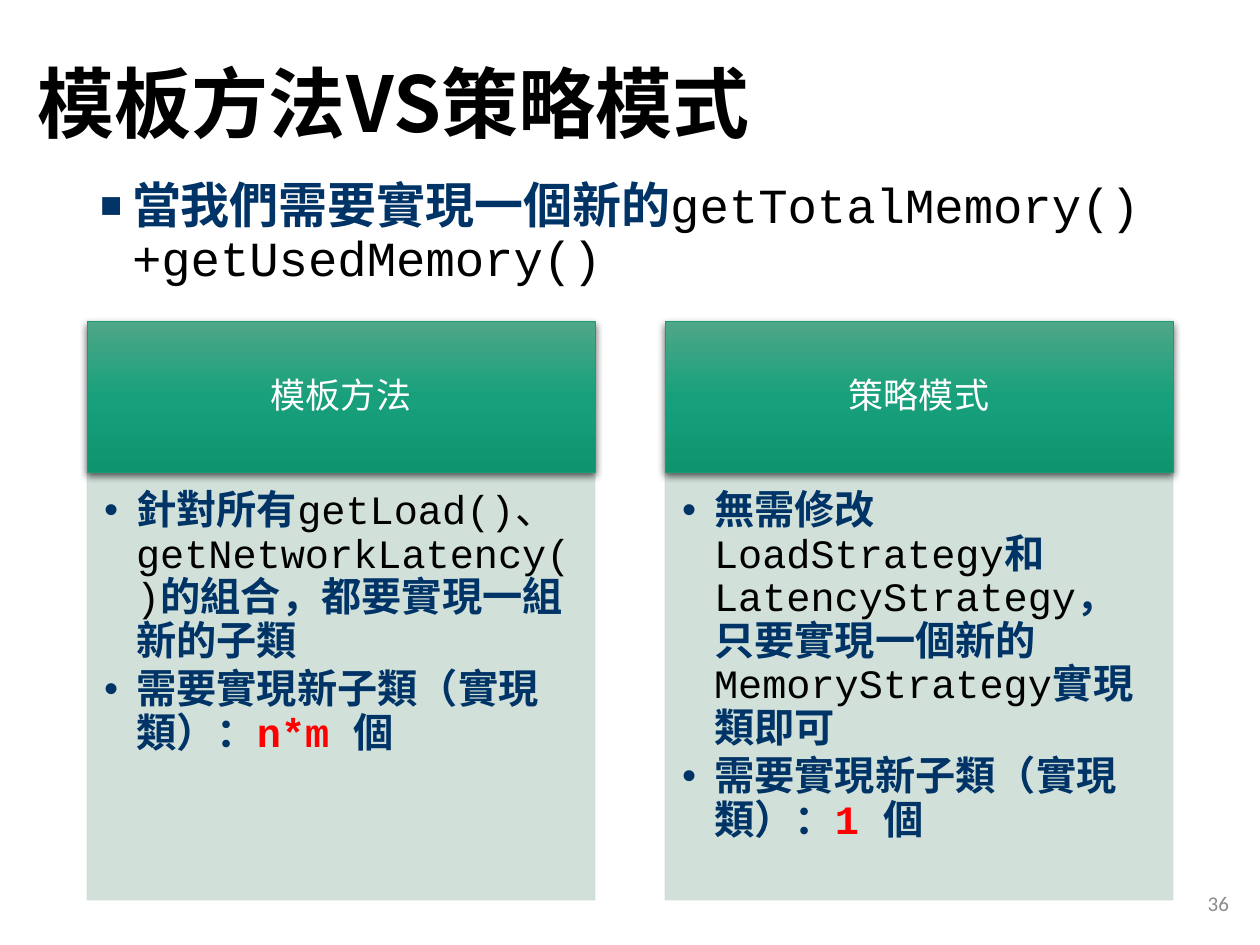
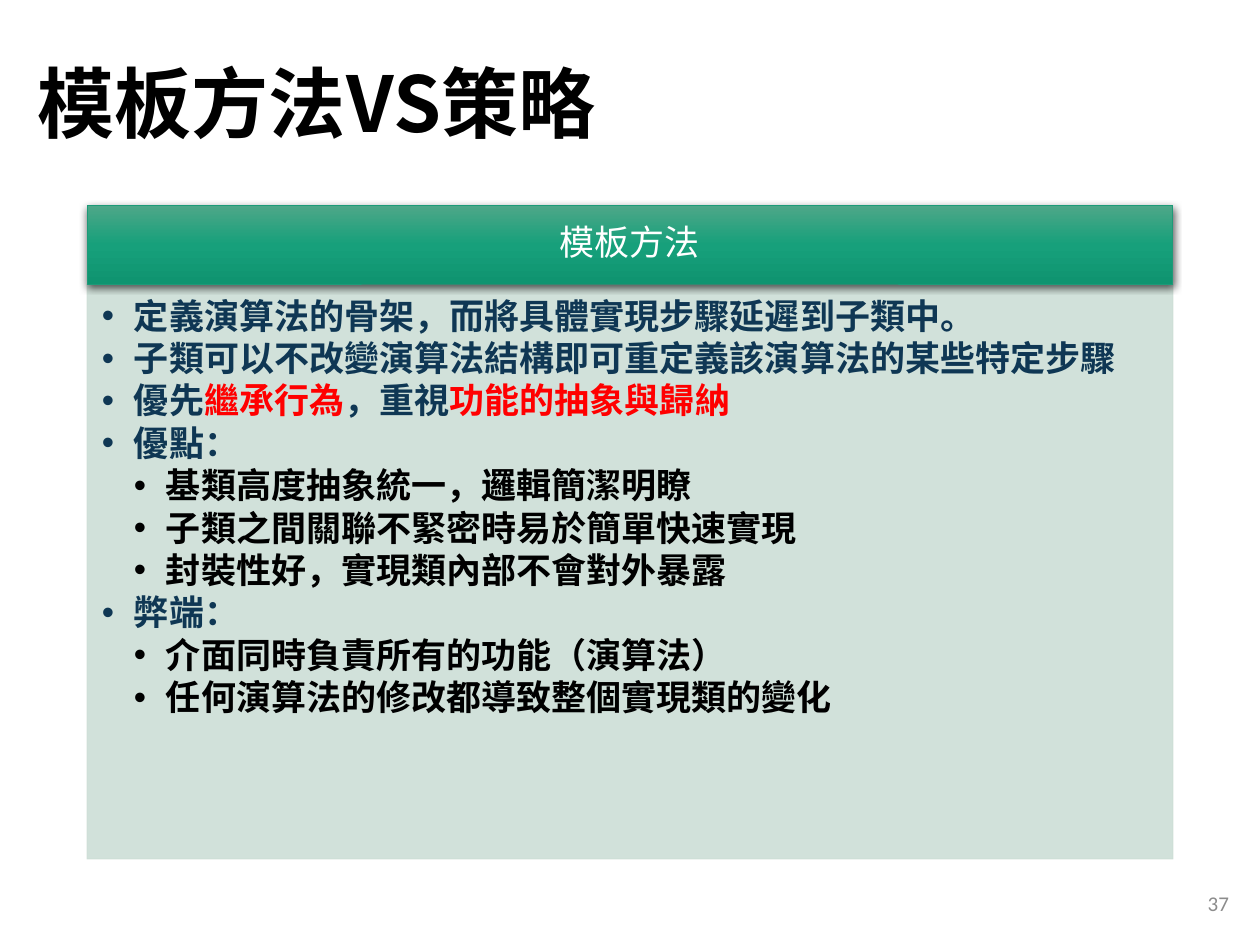
from dataclasses import dataclass

from lxml import etree
from pptx import Presentation
from pptx.dml.color import RGBColor
from pptx.enum.shapes import MSO_SHAPE
from pptx.enum.text import MSO_ANCHOR, MSO_AUTO_SIZE, PP_ALIGN
from pptx.oxml.ns import qn
from pptx.util import Emu, Pt

RECTANGLE = MSO_SHAPE.RECTANGLE
TOP, MIDDLE = MSO_ANCHOR.TOP, MSO_ANCHOR.MIDDLE
LEFT, CENTER, RIGHT = PP_ALIGN.LEFT, PP_ALIGN.CENTER, PP_ALIGN.RIGHT
NO_AUTOFIT = MSO_AUTO_SIZE.NONE

# Shared look
COLORS = {
    "black": "000000", "white": "FFFFFF", "red": "FF0000",
    "navy": "003366", "ink": "0F3754", "gray": "8C8C8C",
    "green_light": "4EA788", "green": "17A07B", "green_dark": "0F9470",
    "green_edge": "1D9A78", "mint": "CDDED6",
}
CJK, CODE, LATIN = "Noto Sans CJK SC", "Courier New", "Calibri"
PIXELS_PER_INCH = 126
SLIDE_WIDTH, SLIDE_HEIGHT = 1260, 945
MARGIN, CONTENT_WIDTH, COLUMN_GAP = 87, 1086, 70
INDENT = 32
DEFAULT_INSETS = (13, 6, 13, 6)
TITLE_LAYOUT_ONE_LIST, TITLE_LAYOUT_COMPARISON = 1, 4


def px(length: int) -> Emu:
    return Emu(round(length * 914400 / PIXELS_PER_INCH))


@dataclass(frozen=True)
class Box:
    left: int
    top: int
    width: int
    height: int


@dataclass(frozen=True)
class Run:
    text: str
    color: str
    bold: bool = True


@dataclass(frozen=True)
class Item:
    runs: tuple[Run, ...]
    level: int = 0


@dataclass(frozen=True)
class TextStyle:
    size: int
    font: str
    east_asian: str
    align: int = LEFT
    spacing: float = 0.9
    before: float = 0
    after: float = 0
    bullet: str = ""
    bullet_percent: int = 100


@dataclass(frozen=True)
class Panel:
    heading: str
    items: tuple[Item, ...]


TITLE_STYLE = TextStyle(44, CJK, CJK)
HEADING_STYLE = TextStyle(20, CJK, CJK, align=CENTER)
NUMBER_STYLE = TextStyle(12, LATIN, LATIN, align=RIGHT, spacing=1)
LEAD_STYLE = TextStyle(28, CODE, LATIN, before=10, bullet="■", bullet_percent=75)
COMPARISON_STYLE = TextStyle(23, CODE, LATIN, after=3, bullet="•")
SUMMARY_STYLE = TextStyle(20, CJK, LATIN, after=2.6, bullet="•")


# Text
def style_font(font, style: TextStyle, run: Run) -> None:
    font.size = Pt(style.size)
    font.name = style.font
    font.bold = run.bold
    font.color.rgb = RGBColor.from_string(COLORS[run.color])


def add_bullet(paragraph, style: TextStyle, level: int) -> None:
    properties = paragraph._p.get_or_add_pPr()
    properties.set("marL", str(px(INDENT * (level + 1))))
    properties.set("indent", str(-px(INDENT)))
    for tag, name, value in (
        ("a:buSzPct", "val", str(style.bullet_percent * 1000)),
        ("a:buFont", "typeface", "Arial"),
        ("a:buChar", "char", style.bullet),
    ):
        etree.SubElement(properties, qn(tag)).set(name, value)


def write_text(shape, items: tuple[Item, ...], style: TextStyle,
               anchor=TOP, insets=DEFAULT_INSETS) -> None:
    frame = shape.text_frame
    frame.word_wrap = True
    frame.auto_size = NO_AUTOFIT
    frame.vertical_anchor = anchor
    (frame.margin_left, frame.margin_top,
     frame.margin_right, frame.margin_bottom) = map(px, insets)
    for index, item in enumerate(items):
        paragraph = frame.add_paragraph() if index else frame.paragraphs[0]
        paragraph.level = item.level
        paragraph.alignment = style.align
        paragraph.line_spacing = style.spacing
        paragraph.space_before = Pt(style.before)
        paragraph.space_after = Pt(style.after)
        if style.bullet:
            add_bullet(paragraph, style, item.level)
        style_font(paragraph.font, style, item.runs[0])
        for part in item.runs:
            run = paragraph.add_run()
            run.text = part.text
            style_font(run.font, style, part)
            latin = run._r.rPr.find(qn("a:latin"))
            east_asian = etree.Element(qn("a:ea"), typeface=style.east_asian)
            latin.addnext(east_asian)


def single(text: str, color: str, bold: bool = False) -> tuple[Item, ...]:
    return (Item((Run(text, color, bold),)),)


# Shapes
def place(shape, box: Box) -> None:
    shape.left, shape.top = px(box.left), px(box.top)
    shape.width, shape.height = px(box.width), px(box.height)


def set_outline(shape, color: str) -> None:
    shape.line.color.rgb = RGBColor.from_string(COLORS[color])
    shape.line.width = Pt(0.5)


def add_color(parent, color: str, alpha: int = 100) -> None:
    element = etree.SubElement(parent, qn("a:srgbClr"), val=COLORS[color])
    if alpha < 100:
        etree.SubElement(element, qn("a:alpha"), val=str(alpha * 1000))


def add_heading(slide, box: Box, text: str) -> None:
    bar = slide.shapes.add_shape(RECTANGLE, *map(px, (box.left, box.top, box.width, box.height)))
    bar.fill.gradient()
    bar.fill.gradient_angle = 270
    properties = bar._element.spPr
    stops = properties.find(f".//{qn('a:gsLst')}")
    for stop in list(stops):
        stops.remove(stop)
    for position, color in ((0, "green_light"), (50, "green"), (100, "green_dark")):
        add_color(etree.SubElement(stops, qn("a:gs"), pos=str(position * 1000)), color)
    set_outline(bar, "green_edge")
    bar.shadow.inherit = False
    shadow = etree.SubElement(
        properties.find(qn("a:effectLst")), qn("a:outerShdw"),
        blurRad=str(Pt(4.5)), dist=str(Pt(1.5)), dir="5400000", rotWithShape="0")
    add_color(shadow, "black", 63)
    write_text(bar, single(text, "white"), HEADING_STYLE, MIDDLE, (20, 11, 20, 11))


def fill_panel(placeholder, box: Box) -> None:
    place(placeholder, box)
    placeholder.fill.solid()
    placeholder.fill.fore_color.rgb = RGBColor.from_string(COLORS["mint"])
    set_outline(placeholder, "mint")
    for color in placeholder._element.spPr.iter(qn("a:srgbClr")):
        etree.SubElement(color, qn("a:alpha"), val="90000")


def add_panels(slide, placeholders, panels: tuple[Panel, ...], top: int,
               heading_height: int, body_height: int,
               style: TextStyle, insets) -> None:
    width = (CONTENT_WIDTH - COLUMN_GAP * (len(panels) - 1)) // len(panels)
    for column, (placeholder, panel) in enumerate(zip(placeholders, panels)):
        left = MARGIN + column * (width + COLUMN_GAP)
        fill_panel(placeholder, Box(left, top + heading_height, width, body_height))
        write_text(placeholder, panel.items, style, insets=insets)
        add_heading(slide, Box(left, top, width, heading_height), panel.heading)


def start_slide(presentation, layout: int, title: str, number: int):
    slide = presentation.slides.add_slide(presentation.slide_layouts[layout])
    place(slide.shapes.title, Box(25, 16, 1086, 183))
    write_text(slide.shapes.title, single(title, "black", True), TITLE_STYLE, MIDDLE)
    number_box = slide.shapes.add_textbox(*map(px, (958, 878, 284, 50)))
    write_text(number_box, single(str(number), "gray"), NUMBER_STYLE, MIDDLE)
    return slide


# Wording
def navy(text: str) -> Run:
    return Run(text, "navy")


def code(text: str) -> Run:
    return Run(text, "black", False)


def count_item(count: str) -> Item:
    return Item((navy("需要實現新子類（實現類）："), Run(f"{count} ", "red"), navy("個")))


def point(text: str) -> Item:
    return Item((Run(text, "ink"),))


def detail(text: str) -> Item:
    return Item((Run(text, "black"),), level=1)


LEAD = (Item((navy("當我們需要實現一個新的"), code("getTotalMemory()+getUsedMemory()"))),)

COMPARISON = (
    Panel("模板方法", (
        Item((navy("針對所有"), code("getLoad()、getNetworkLatency()"),
              navy("的組合，都要實現一組新的子類"))),
        count_item("n*m"),
    )),
    Panel("策略模式", (
        Item((navy("無需修改"), code("LoadStrategy"), navy("和"), code("LatencyStrategy"),
              navy("，只要實現一個新的"), code("MemoryStrategy"), navy("實現類即可"))),
        count_item("1"),
    )),
)

SUMMARY = (
    Panel("模板方法", (
        point("定義演算法的骨架，而將具體實現步驟延遲到子類中。"),
        point("子類可以不改變演算法結構即可重定義該演算法的某些特定步驟"),
        Item((Run("優先", "ink"), Run("繼承行為", "red"),
              Run("，重視", "ink"), Run("功能的抽象與歸納", "red"))),
        point("優點："),
        detail("基類高度抽象統一，邏輯簡潔明瞭"),
        detail("子類之間關聯不緊密時易於簡單快速實現"),
        detail("封裝性好，實現類內部不會對外暴露"),
        point("弊端："),
        detail("介面同時負責所有的功能（演算法）"),
        detail("任何演算法的修改都導致整個實現類的變化"),
    )),
)


# Slides
def build_comparison(presentation) -> None:
    slide = start_slide(presentation, TITLE_LAYOUT_COMPARISON, "模板方法VS策略模式", 36)
    _, lead, left_list, unused, right_list = slide.placeholders
    unused._element.getparent().remove(unused._element)
    place(lead, Box(MARGIN, 175, CONTENT_WIDTH, 600))
    write_text(lead, LEAD, LEAD_STYLE)
    add_panels(slide, (left_list, right_list), COMPARISON, 322, 151, 427,
               COMPARISON_STYLE, (17, 17, 22, 25))


def build_summary(presentation) -> None:
    slide = start_slide(presentation, TITLE_LAYOUT_ONE_LIST, "模板方法VS策略", 37)
    add_panels(slide, (slide.placeholders[1],), SUMMARY, 205, 79, 575,
               SUMMARY_STYLE, (15, 15, 20, 21))


def main() -> None:
    presentation = Presentation()
    presentation.slide_width, presentation.slide_height = px(SLIDE_WIDTH), px(SLIDE_HEIGHT)
    build_comparison(presentation)
    build_summary(presentation)
    presentation.save("out.pptx")


if __name__ == "__main__":
    main()
